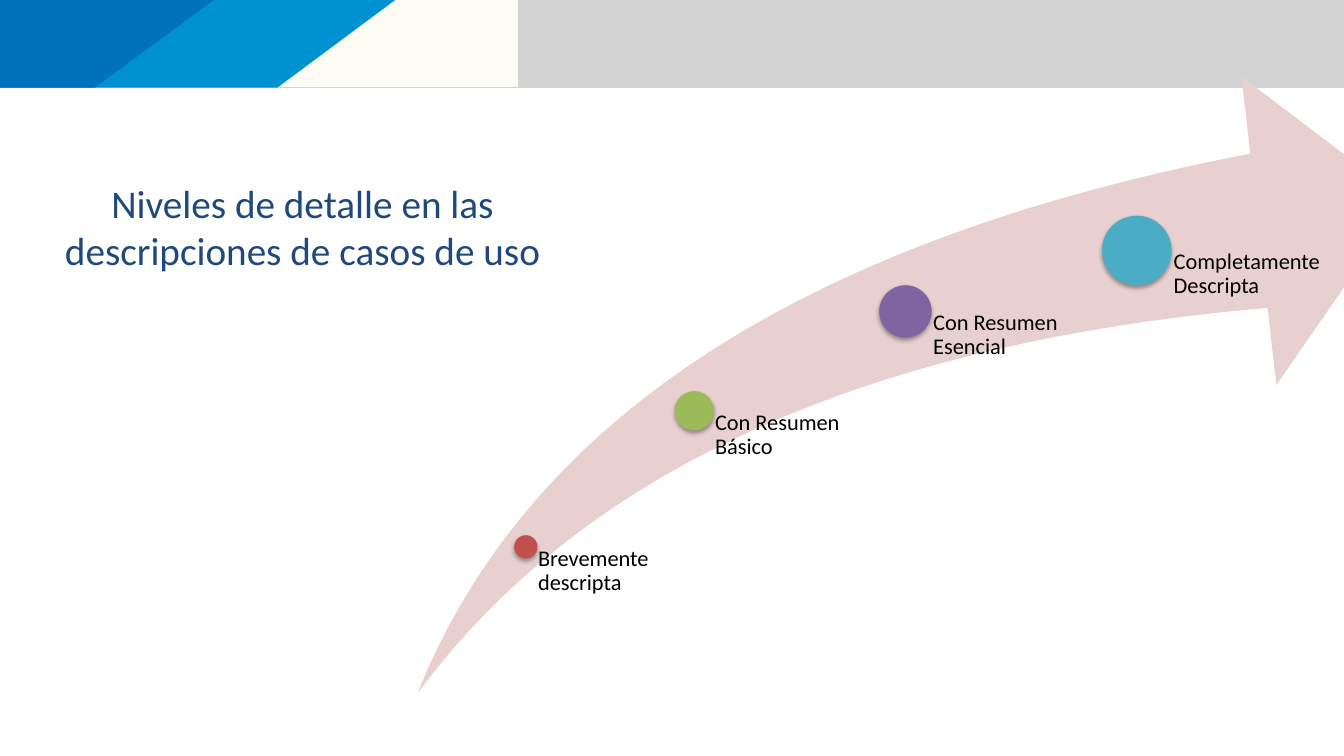
from lxml.etree import SubElement
from pptx import Presentation
from pptx.dml.color import RGBColor
from pptx.enum.shapes import MSO_SHAPE
from pptx.enum.text import MSO_ANCHOR, MSO_AUTO_SIZE, PP_ALIGN
from pptx.oxml.ns import qn
from pptx.util import Inches, Pt

FONT = "Calibri"
LEVELS = [
    ("Brevemente descripta", 0.96, 4.55, 0.23, 1.67, "C0504D"),
    ("Con Resumen Básico", 2.55, 3.12, 0.39, 2.05, "9BBB59"),
    ("Con Resumen Esencial", 4.58, 2.07, 0.52, 2.05, "8064A2"),
    ("Completamente Descripta", 6.79, 1.38, 0.69, 2.05, "4BACC6"),
]


def color(code):
    return RGBColor.from_string(code)


def paint(shape, code):
    shape.shadow.inherit = False
    shape.fill.solid()
    shape.fill.fore_color.rgb = color(code)
    shape.line.fill.background()


def write(frame, text, size, code, left=0, right=0):
    frame.word_wrap = True
    frame.auto_size = MSO_AUTO_SIZE.NONE
    frame.vertical_anchor = MSO_ANCHOR.TOP
    frame.margin_left, frame.margin_right = Inches(left), Inches(right)
    frame.margin_top = frame.margin_bottom = 0
    par = frame.paragraphs[0]
    run = par.add_run()
    run.text = text
    run.font.name = FONT
    run.font.size = Pt(size)
    run.font.color.rgb = color(code)
    return par


def shade(shape):
    effects = shape._element.spPr.find(qn("a:effectLst"))
    outer = SubElement(effects, qn("a:outerShdw"), blurRad=str(Pt(3.1)),
                       dist=str(Pt(1.8)), dir="5400000", rotWithShape="0")
    tint = SubElement(outer, qn("a:srgbClr"), val="000000")
    SubElement(tint, qn("a:alpha"), val="35000")


def band(slide, x, y, top, base, high, code):
    pen = slide.shapes.build_freeform(Inches(x), Inches(y))
    pen.add_line_segments([(Inches(x + top), Inches(y)),
                           (Inches(x + base), Inches(y + high)),
                           (Inches(x), Inches(y + high))], close=True)
    paint(pen.convert_to_shape(), code)


def banner(slide, x, y, wide, high):
    band(slide, x, y, wide, wide, high, "D2D2D3")
    band(slide, x, y, 5.14, 5.14, high - 0.01, "FCFBF4")
    band(slide, x, y, 3.92, 2.75, high, "0091D1")
    band(slide, x, y, 2.12, 0.94, high, "0071BB")


def heading(slide, x, y, wide, high):
    title = slide.shapes.title
    title.left, title.top = Inches(x), Inches(y)
    title.width, title.height = Inches(wide), Inches(high)
    par = write(title.text_frame,
                "Niveles de detalle en las descripciones de casos de uso",
                28, "1F497D")
    par.alignment = PP_ALIGN.CENTER


def path_up(slide, x, y, wide, high):
    group = slide.shapes.add_group_shape().shapes
    arrow = group.add_shape(MSO_SHAPE.SWOOSH_ARROW, Inches(x), Inches(y),
                            Inches(wide), Inches(high))
    arrow.adjustments[0] = arrow.adjustments[1] = 0.25
    paint(arrow, "E8D0D0")
    for text, dx, dy, size, span, code in LEVELS:
        dot = group.add_shape(MSO_SHAPE.OVAL, Inches(x + dx), Inches(y + dy),
                              Inches(size), Inches(size))
        paint(dot, code)
        shade(dot)
        half = size / 2
        label = group.add_textbox(Inches(x + dx + half), Inches(y + dy + half),
                                  Inches(span), Inches(high - dy - half))
        par = write(label.text_frame, text, 16, "000000", size * 0.53, 0.1)
        par.line_spacing = 0.9


def main():
    deck = Presentation()
    deck.slide_width, deck.slide_height = Inches(13.33), Inches(7.5)
    slide = deck.slides.add_slide(deck.slide_layouts[5])
    slide.background.fill.solid()
    slide.background.fill.fore_color.rgb = color("FFFFFF")
    banner(slide, 0, 0, 13.33, 0.87)
    heading(slide, 0.6, 1.78, 4.8, 1.15)
    path_up(slide, 4.14, 0.76, 9.79, 6.12)
    deck.save("out.pptx")


if __name__ == "__main__":
    main()
